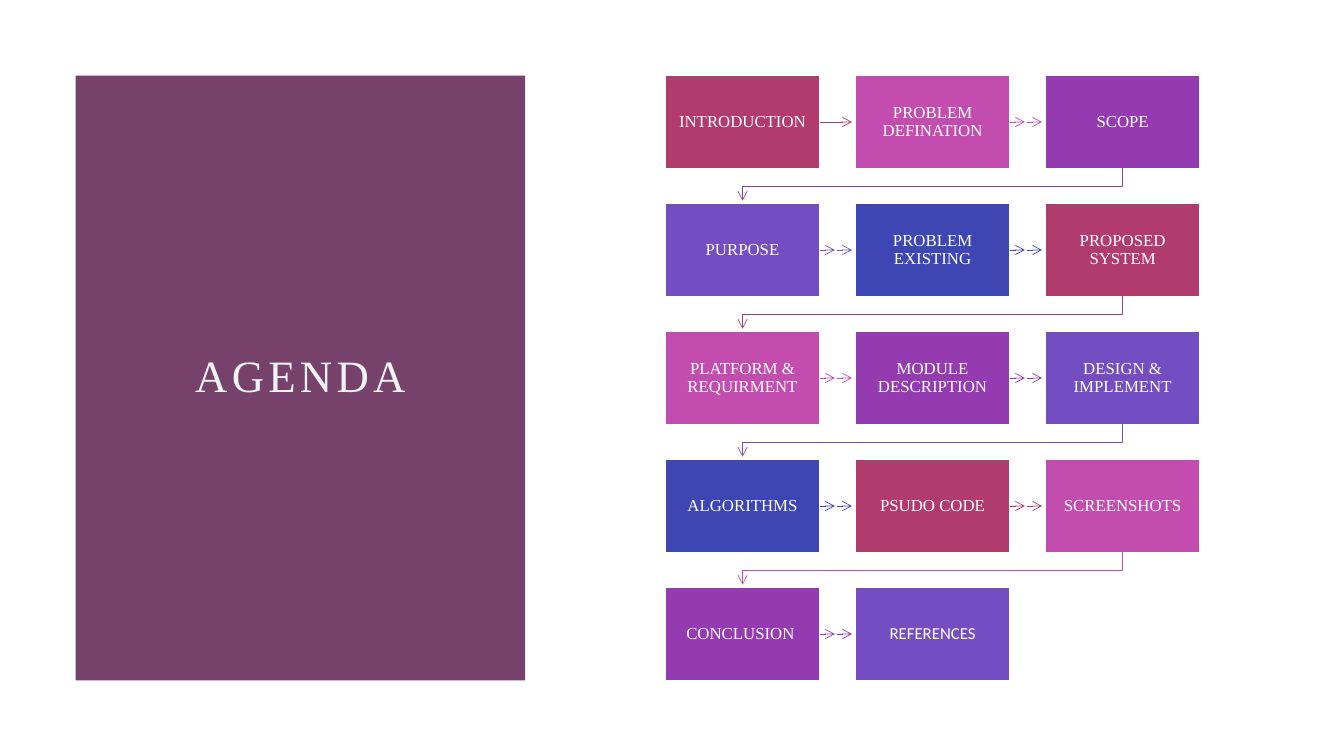
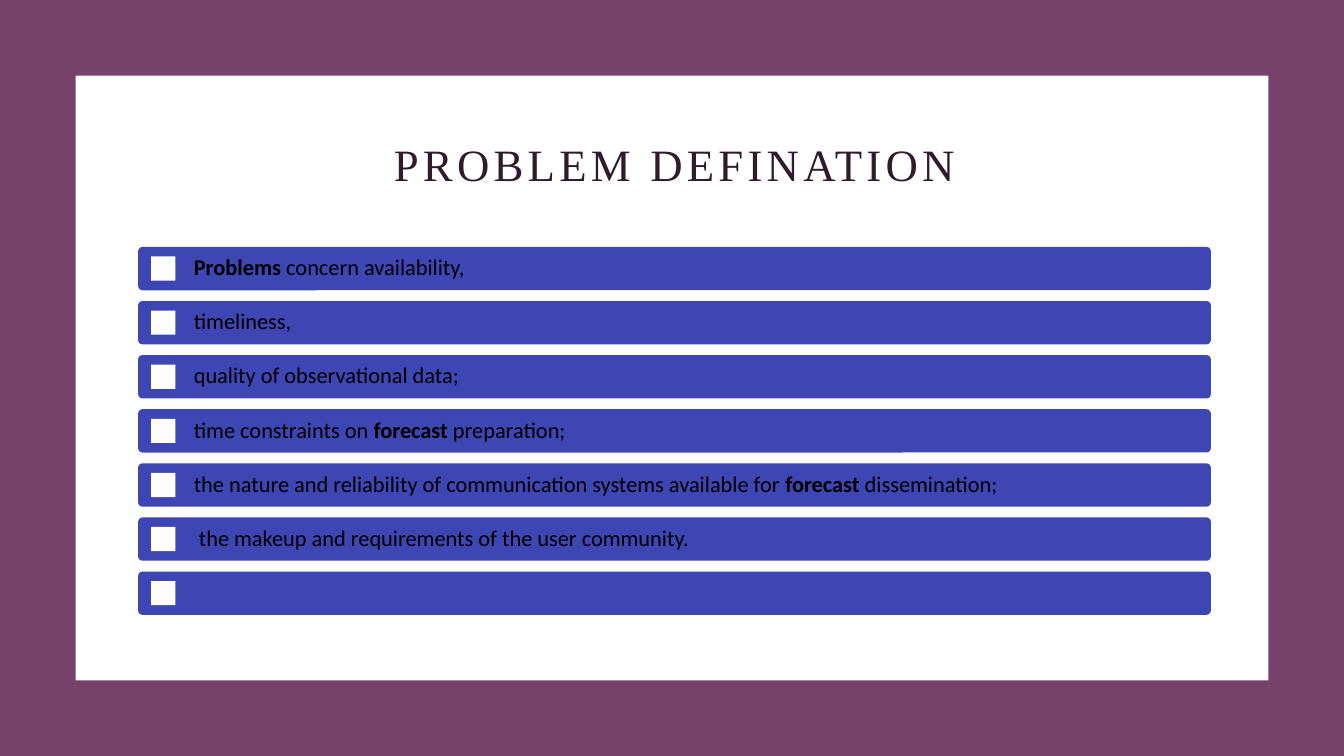
from lxml.etree import SubElement
from pptx import Presentation
from pptx.dml.color import RGBColor
from pptx.enum.shapes import MSO_CONNECTOR, MSO_SHAPE
from pptx.enum.text import MSO_ANCHOR, MSO_AUTO_SIZE, PP_ALIGN
from pptx.oxml.ns import qn
from pptx.util import Inches, Pt

PLUM, WHITE, BLUE = "76426C", "FFFFFF", "3D46B2"
STEP_COLOURS = ["B13B6C", "C34DAF", "943BB1", "744DC3", BLUE]
SERIF, SANS = "Times New Roman", "Calibri"
MARGIN = 0.75


def colour(value):
    return RGBColor.from_string(value)


def write(frame, spans, font=SERIF, size=12, ink=WHITE, align=PP_ALIGN.CENTER,
          insets=(0.1, 0.05, 0.1, 0.05), spacing=None):
    """Fill a text frame with one paragraph; spans are (text, bold) pairs."""
    frame.word_wrap = True
    frame.auto_size = MSO_AUTO_SIZE.NONE
    frame.vertical_anchor = MSO_ANCHOR.MIDDLE
    (frame.margin_left, frame.margin_top,
     frame.margin_right, frame.margin_bottom) = map(Inches, insets)
    para = frame.paragraphs[0]
    para.alignment = align
    para.line_spacing = 0.9
    for text, bold in spans:
        span = para.add_run()
        span.text = text
        span.font.name, span.font.size, span.font.bold = font, Pt(size), bold
        span.font.color.rgb = colour(ink)
        if spacing:
            span.font._element.set("spc", str(spacing * 100))


class Builder:
    """Holds the deck and the current page."""

    def __init__(self):
        self.deck = Presentation()
        self.deck.slide_width = Inches(13.33)
        self.deck.slide_height = Inches(7.5)
        self.page = None

    def new_page(self, background):
        self.page = self.deck.slides.add_slide(self.deck.slide_layouts[5])
        fill = self.page.background.fill
        fill.solid()
        fill.fore_color.rgb = colour(background)

    def title(self, text, left, top, width, height, ink):
        title = self.page.shapes.title
        title.left, title.top = Inches(left), Inches(top)
        title.width, title.height = Inches(width), Inches(height)
        write(title.text_frame, [(text, False)], size=32, ink=ink, spacing=3)
        # Bring the title in front of its panel
        title.element.getparent().append(title.element)

    def box(self, left, top, width, height, fill, outline=None,
            kind=MSO_SHAPE.RECTANGLE):
        box = self.page.shapes.add_shape(
            kind, Inches(left), Inches(top), Inches(width), Inches(height))
        box.shadow.inherit = False
        box.fill.solid()
        box.fill.fore_color.rgb = colour(fill)
        if outline:
            box.line.color.rgb = colour(outline)
            box.line.width = Pt(1)
        else:
            box.line.fill.background()
        return box

    def arrow_line(self, shape, ink):
        shape.line.color.rgb = colour(ink)
        shape.line.width = Pt(0.5)
        SubElement(shape.line._get_or_add_ln(), qn("a:tailEnd"), type="arrow")

    def arrow(self, start, end, y, ink, source=None):
        arrow = self.page.shapes.add_connector(
            MSO_CONNECTOR.STRAIGHT, Inches(start), Inches(y), Inches(end), Inches(y))
        if source is not None:
            arrow.begin_connect(source, 3)
        self.arrow_line(arrow, ink)
        SubElement(arrow.element.spPr, qn("a:effectLst"))

    def bent_arrow(self, points, ink):
        points = [(Inches(x), Inches(y)) for x, y in points]
        outline = self.page.shapes.build_freeform(*points[0])
        outline.add_line_segments(points[1:], close=False)
        bend = outline.convert_to_shape()
        bend.shadow.inherit = False
        bend.fill.background()
        self.arrow_line(bend, ink)


def agenda(builder):
    builder.new_page(WHITE)
    builder.box(MARGIN, MARGIN, 4.46, 6, PLUM)
    builder.title("AGENDA", 1.5, 1.5, 2.96, 4.5, "F0F3F3")

    steps = ["INTRODUCTION", "PROBLEM DEFINATION", "SCOPE", "PURPOSE",
             "PROBLEM EXISTING", "PROPOSED SYSTEM", "PLATFORM & REQUIRMENT",
             "MODULE DESCRIPTION", "DESIGN & IMPLEMENT", "ALGORITHMS",
             "PSUDO CODE", "SCREENSHOTS", "CONCLUSION ", "REFERENCES"]
    columns, first_left, last_left = 3, 6.6, 10.37
    width, height, row_step = 1.53, 0.92, 1.27
    column_step = (last_left - first_left) / (columns - 1)
    last = len(steps) - 1

    for index, step in enumerate(steps):
        row, column = divmod(index, columns)
        left, top = first_left + column * column_step, MARGIN + row * row_step
        ink = STEP_COLOURS[index % len(STEP_COLOURS)]
        box = builder.box(left, top, width, height, ink, outline=WHITE)
        write(box.text_frame, [(step, False)], font=SANS if index == last else SERIF,
              insets=(0.07, 0.08, 0.07, 0.08))
        if index == last:
            continue
        right, bottom, middle = left + width, top + height, top + height / 2
        if column == columns - 1:
            # Down and back to the first box of the next row
            start, end = left + width / 2, first_left + width / 2
            builder.bent_arrow([(start, bottom), (start, bottom + 0.18),
                                (end, bottom + 0.18), (end, bottom + 0.32)], ink)
        elif index == 0:
            builder.arrow(right, right + 0.32, middle, ink, box)
        else:
            builder.arrow(right, right + 0.15, middle, ink, box)
            builder.arrow(right + 0.17, right + 0.32, middle, ink)


def problem_definition(builder):
    builder.new_page(PLUM)
    builder.box(MARGIN, MARGIN, 11.83, 6, WHITE)
    builder.title("PROBLEM DEFINATION", 1.5, 1.17, 10.38, 0.98, "301B2C")

    rows = [
        [("Problems", True), (" concern availability,", False)],
        [("timeliness,", False)],
        [("quality of observational data;", False)],
        [("time constraints on ", False), ("forecast", True), (" preparation;", False)],
        [("the nature and reliability of communication systems available for ", False),
         ("forecast", True), (" dissemination;", False)],
        [(" the makeup and requirements of the user community.", False)],
        [],
    ]
    first_top, last_top, height, marker = 2.45, 5.67, 0.43, 0.24
    row_step = (last_top - first_top) / (len(rows) - 1)
    for index, spans in enumerate(rows):
        top = first_top + index * row_step
        bar = builder.box(1.37, top, 10.64, height, BLUE,
                          kind=MSO_SHAPE.ROUNDED_RECTANGLE)
        bar.adjustments[0] = 0.1
        if spans:
            write(bar.text_frame, spans, font=SANS, size=16, ink="000000",
                  align=PP_ALIGN.LEFT, insets=(0.54, 0.05, 0.05, 0.05))
        builder.box(1.5, top + (height - marker) / 2, marker, marker, WHITE)


def main():
    builder = Builder()
    agenda(builder)
    problem_definition(builder)
    builder.deck.save("out.pptx")


if __name__ == "__main__":
    main()
